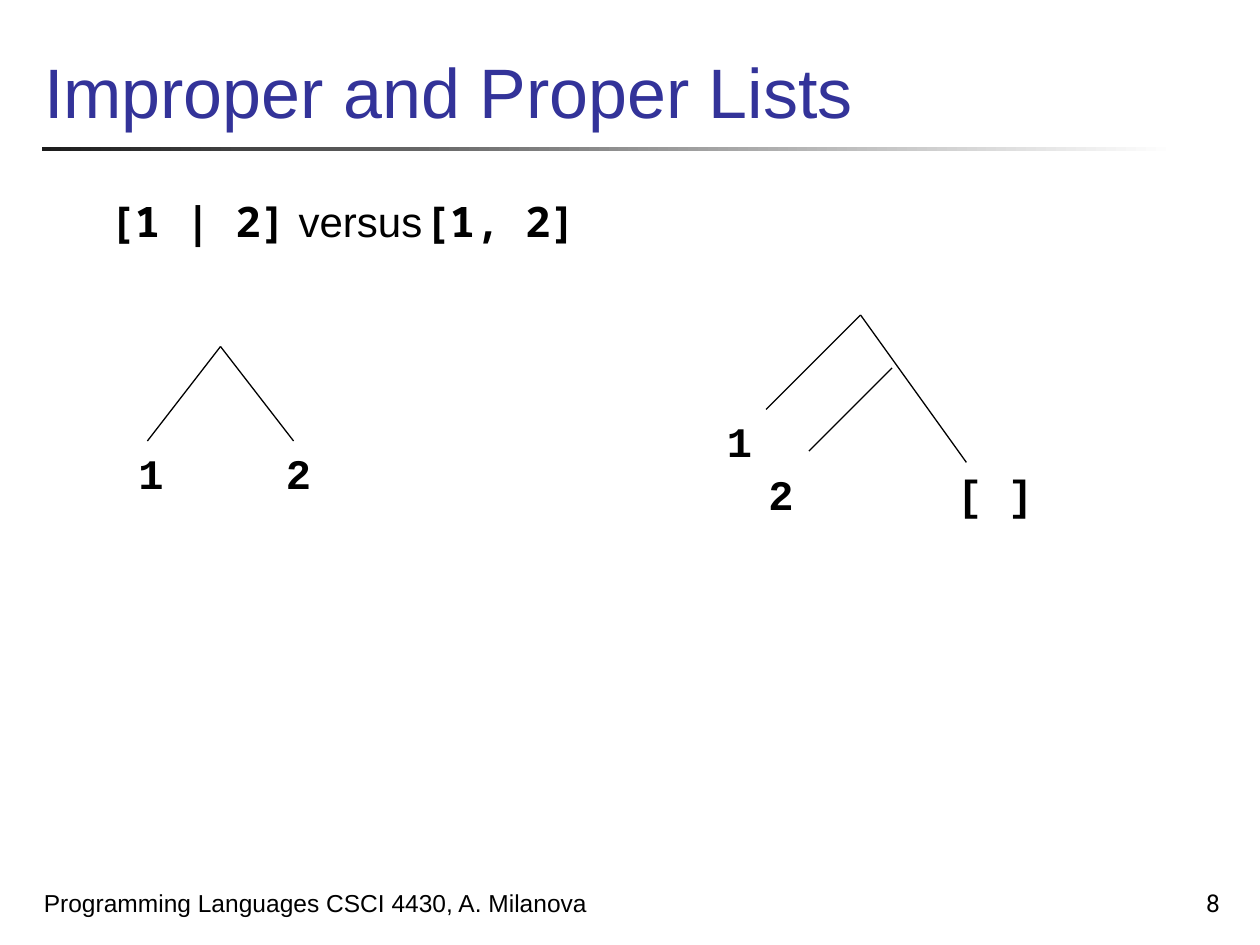
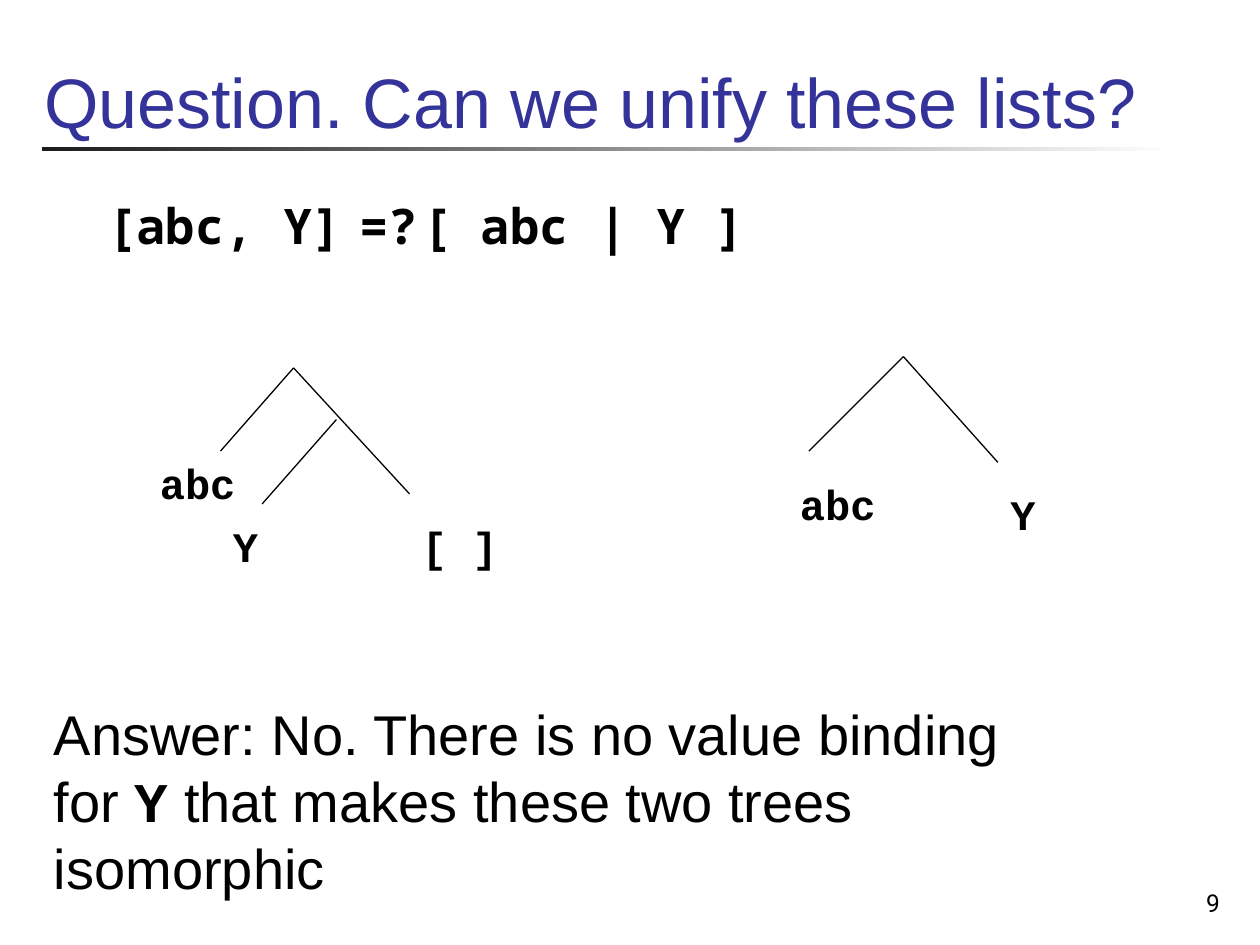
from dataclasses import dataclass

from lxml.etree import SubElement
from pptx import Presentation
from pptx.dml.color import RGBColor
from pptx.enum.shapes import MSO_CONNECTOR, MSO_SHAPE
from pptx.enum.text import MSO_ANCHOR as Anchor, MSO_AUTO_SIZE as AutoSize, PP_ALIGN as Align
from pptx.oxml.ns import qn
from pptx.util import Inches, Pt


@dataclass(frozen=True)
class Theme:
    title_color: str = "333399"
    ink: str = "000000"
    rule_start: str = "1C1C1C"
    rule_end: str = "FFFFFF"
    sans: str = "Arial"
    code: str = "Noto Sans Mono"
    typed: str = "Courier New"
    number: str = "Roboto"
    title_size: int = 40
    answer_size: int = 32
    label_size: int = 24
    footer_size: int = 14
    edge_width: float = 0.75


THEME = Theme()

# Content: text runs are (text, font, bold); boxes are (left, top, width, height);
# a tree is a list of edges (from, to); a node is (text, box)
SLIDES = [
    dict(
        title="Improper and Proper Lists", title_top=0, number="8",
        footer="Programming Languages CSCI 4430, A. Milanova",
        lists=[("[1 | 2]\t", THEME.code, True), ("versus\t", THEME.sans, False),
               ("[1, 2]", THEME.code, True)],
        lists_box=(0.77, 1.5, 8.94, 4.68), lists_size=24, tabs=(3.37, 5.36),
        trees=[
            [((1.75, 2.75), (2.33, 3.5)), ((1.75, 2.75), (1.17, 3.5))],
            [((6.83, 2.5), (6.08, 3.25)), ((7.08, 2.92), (6.42, 3.58)),
             ((6.83, 2.5), (7.67, 3.67))],
        ],
        nodes=[("1", (1, 3.5, 0.73, 0.51)), ("2", (2.17, 3.5, 0.73, 0.51)),
               ("1", (5.67, 3.25, 0.82, 0.5)), ("2", (6, 3.67, 0.82, 0.5)),
               ("[ ]", (7.5, 3.67, 0.92, 0.51))],
        wrap_nodes=True,
    ),
    dict(
        title="Question. Can we unify these lists?", title_top=0.08, number="9",
        lists=[("\t[abc, Y]\t=?\t[ abc | Y ]", THEME.code, True)],
        lists_box=(0.25, 1.5, 9.45, 0.92), lists_size=28, tabs=(0.93, 3.5, 4.43),
        trees=[
            [((2.33, 2.92), (1.75, 3.58)), ((2.67, 3.33), (2.08, 4)),
             ((2.33, 2.92), (3.25, 3.92))],
            [((7.17, 2.83), (6.42, 3.58)), ((7.17, 2.83), (7.92, 3.67))],
        ],
        nodes=[("abc", (1.17, 3.58, 0.81, 0.51)), ("Y", (1.75, 4.08, 0.4, 0.51)),
               ("[ ]", (3.25, 4.08, 0.81, 0.51)), ("abc", (6.25, 3.75, 0.81, 0.51)),
               ("Y", (7.92, 3.83, 0.4, 0.51))],
        wrap_nodes=False,
        answer=[("Answer: No. There is no value binding for ", THEME.sans, False),
                ("Y", THEME.typed, True),
                (" that makes these two trees isomorphic", THEME.sans, False)],
    ),
]
RULE_BOX = (0.33, 1.17, 9, 0.03)
NUMBER_BOX = (7.7, 6.83, 2.08, 0.5)
FOOTER_BOX = (0.25, 6.83, 5.17, 0.5)
ANSWER_BOX = (0.33, 5.5, 8.25, 2.26)


def inches(values):
    return [Inches(value) for value in values]


def write(shape, runs, size, color=THEME.ink, align=Align.LEFT, anchor=Anchor.TOP,
          wrap=True, fit=AutoSize.NONE):
    frame = shape.text_frame
    frame.word_wrap, frame.auto_size, frame.vertical_anchor = wrap, fit, anchor
    paragraph = frame.paragraphs[0]
    paragraph.alignment = align
    for text, font, bold in runs:
        run = paragraph.add_run()
        run.text = text
        run.font.name, run.font.bold, run.font.size = font, bold, Pt(size)
        run.font.color.rgb = RGBColor.from_string(color)
    return paragraph


def place(placeholder, box):
    placeholder.left, placeholder.top, placeholder.width, placeholder.height = inches(box)
    return placeholder


def add_text(slide, box, runs, size, **layout):
    return write(slide.shapes.add_textbox(*inches(box)), runs, size, **layout)


def set_tabs(paragraph, stops):
    """Drop the bullet and its indent, and align the parts on tab stops."""
    props = paragraph._p.get_or_add_pPr()
    props.set("marL", "0")
    props.set("indent", "0")
    SubElement(props, qn("a:buNone"))
    tab_list = SubElement(props, qn("a:tabLst"))
    for stop in stops:
        SubElement(tab_list, qn("a:tab"), pos=str(Inches(stop)), algn="l")


def add_edge(slide, start, end):
    edge = slide.shapes.add_connector(MSO_CONNECTOR.STRAIGHT, *inches(start + end))
    edge.line.color.rgb = RGBColor.from_string(THEME.ink)
    edge.line.width = Pt(THEME.edge_width)
    SubElement(edge.element.spPr, qn("a:effectLst"))


def add_rule_to_layout(slide):
    """Draw the fading title rule and hand it to the shared layout."""
    rule = slide.shapes.add_shape(MSO_SHAPE.RECTANGLE, *inches(RULE_BOX))
    rule.shadow.inherit = False
    rule.line.fill.background()
    rule.fill.gradient()
    rule.fill.gradient_angle = 0
    for stop, color in zip(rule.fill.gradient_stops, (THEME.rule_start, THEME.rule_end)):
        stop.color.rgb = RGBColor.from_string(color)
    slide.slide_layout.shapes.element.append(rule.element)


def build_slide(slide, content):
    # Title, page number and footer
    write(place(slide.shapes.title, (0.25, content["title_top"], 9.52, 1.1)),
          [(content["title"], THEME.sans, False)], THEME.title_size,
          color=THEME.title_color, anchor=Anchor.BOTTOM)
    add_text(slide, NUMBER_BOX, [(content["number"], THEME.number, False)],
             THEME.footer_size, align=Align.RIGHT, anchor=Anchor.BOTTOM)
    if "footer" in content:
        add_text(slide, FOOTER_BOX, [(content["footer"], THEME.sans, False)],
                 THEME.footer_size, anchor=Anchor.BOTTOM)

    # The two lists being compared
    lists = place(slide.placeholders[1], content["lists_box"])
    set_tabs(write(lists, content["lists"], content["lists_size"]), content["tabs"])

    # Their trees
    for tree in content["trees"]:
        for start, end in tree:
            add_edge(slide, start, end)
    for text, box in content["nodes"]:
        add_text(slide, box, [(text, THEME.typed, True)], THEME.label_size,
                 wrap=content["wrap_nodes"], fit=AutoSize.SHAPE_TO_FIT_TEXT)

    # Answer
    if "answer" in content:
        answer = add_text(slide, ANSWER_BOX, content["answer"], THEME.answer_size,
                          fit=AutoSize.SHAPE_TO_FIT_TEXT)
        answer.space_before = Pt(THEME.answer_size * 0.2)


def main():
    deck = Presentation()
    deck.slide_width, deck.slide_height = Inches(10), Inches(7.5)
    layout = deck.slide_layouts[1]
    for content in SLIDES:
        build_slide(deck.slides.add_slide(layout), content)
    add_rule_to_layout(deck.slides[0])
    deck.save("out.pptx")


if __name__ == "__main__":
    main()
